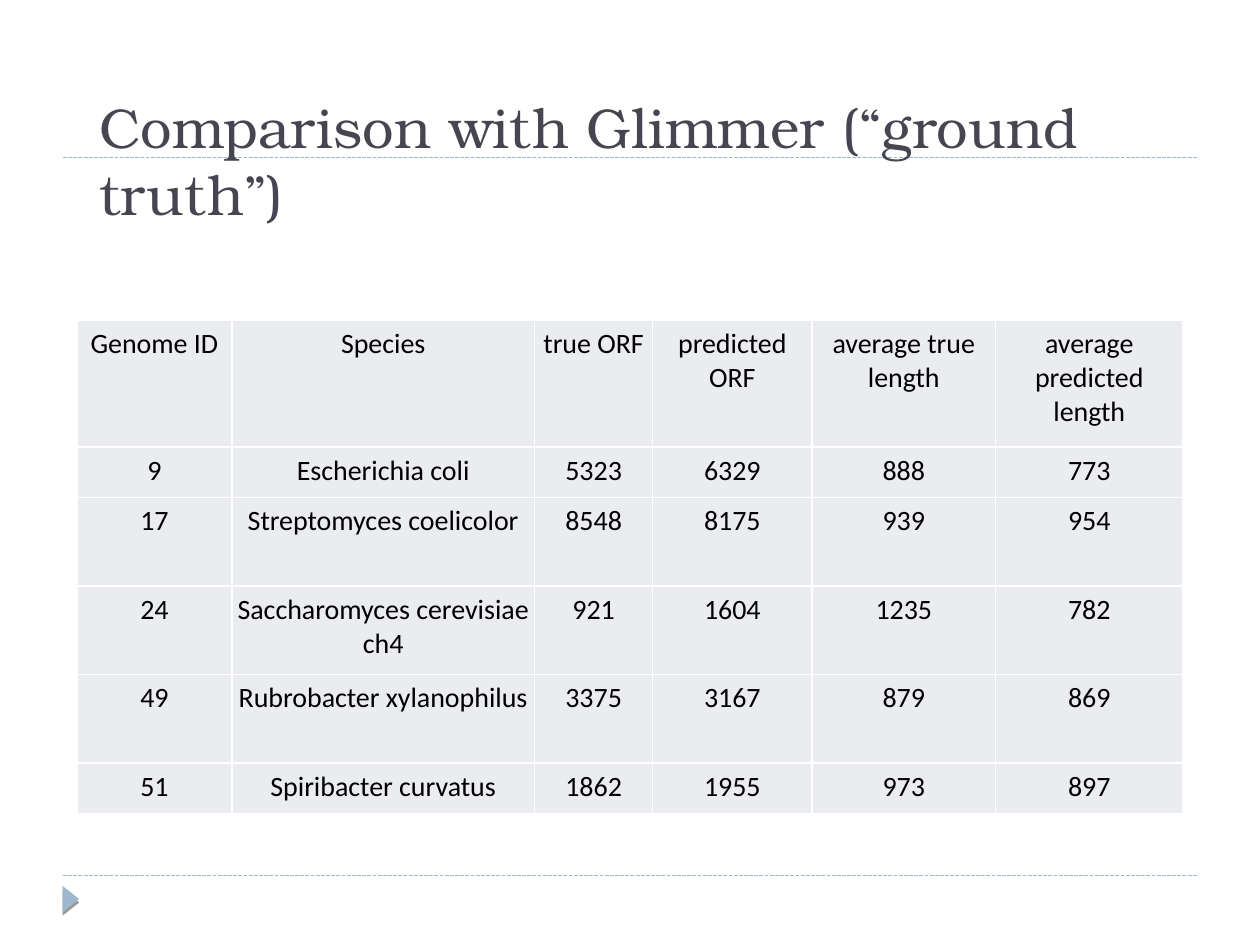
from lxml import etree
from pptx import Presentation
from pptx.dml.color import RGBColor
from pptx.enum import dml, shapes, text
from pptx.oxml import ns
from pptx.util import Pt

TITLE = "Comparison with Glimmer (“ground truth”)"
HEADINGS = ["Genome ID", "Species", "true ORF", "predicted ORF",
            "average true length", "average predicted length"]
GENOMES = [
    (9, "Escherichia coli", 5323, 6329, 888, 773),
    (17, "Streptomyces coelicolor", 8548, 8175, 939, 954),
    (24, "Saccharomyces cerevisiae ch4", 921, 1604, 1235, 782),
    (49, "Rubrobacter xylanophilus", 3375, 3167, 879, 869),
    (51, "Spiribacter curvatus", 1862, 1955, 973, 897),
]
COLUMN_WIDTHS = [88.5, 173, 67.5, 91, 105, 107]
ROW_HEIGHTS = [72.5, 28.8, 50.6, 50.6, 50.6, 28.8]
RULE_HEIGHTS = [500.4, 90]
ACCENT, INK, CELL = "9FB8CD", "464653", "EBECF0"
TITLE_FONT = {"name": "TeX Gyre Bonum", "size": Pt(32)}
CELL_FONT = {"name": "Calibri", "size": Pt(16)}
CELL_FORMAT = {"margin_left": Pt(0.72), "margin_right": Pt(0.72),
               "margin_top": Pt(3.6), "margin_bottom": Pt(3.6)}


def rgb(color):
    return RGBColor.from_string(color)


def set_all(target, values):
    for key, value in values.items():
        setattr(target, key, value)


def add(parent, tag, **attributes):
    return etree.SubElement(parent, ns.qn(tag), attributes)


def add_color(parent, color):
    return add(add(parent, "a:solidFill"), "a:srgbClr", val=color)


def style_cell(cell, content):
    properties = cell._tc.get_or_add_tcPr()
    for side in "LRTB":
        add_color(add(properties, f"a:ln{side}", w=str(Pt(0.96))), "FFFFFF")
    cell.fill.solid()
    cell.fill.fore_color.rgb = rgb(CELL)
    set_all(cell, CELL_FORMAT)
    paragraph = cell.text_frame.paragraphs[0]
    paragraph.alignment = text.PP_ALIGN.CENTER
    run = paragraph.add_run()
    run.text = str(content)
    set_all(run.font, {**CELL_FONT, "bold": False})
    run.font.color.rgb = rgb("000000")


def main():
    deck = Presentation()
    set_all(deck, {"slide_width": Pt(720), "slide_height": Pt(540)})
    slide = deck.slides.add_slide(deck.slide_layouts[6])

    for height in RULE_HEIGHTS:
        rule = slide.shapes.add_connector(
            shapes.MSO_CONNECTOR.STRAIGHT, Pt(36), Pt(height), Pt(684), Pt(height))
        set_all(rule.line, {"width": Pt(0.75), "dash_style": dml.MSO_LINE.SQUARE_DOT})
        rule.line.color.rgb = rgb(ACCENT)
        add(rule._element.spPr, "a:effectLst")

    marker = slide.shapes.add_shape(
        shapes.MSO_SHAPE.ISOSCELES_TRIANGLE, Pt(33), Pt(509), Pt(15), Pt(9.5))
    marker.rotation = 90
    marker.fill.solid()
    marker.fill.fore_color.rgb = rgb(ACCENT)
    marker.line.fill.background()
    shadow = add(add(marker._element.spPr, "a:effectLst"), "a:outerShdw",
                 blurRad="0", dist=str(Pt(2)), dir="5400000", rotWithShape="0")
    add(add(shadow, "a:srgbClr", val="000000"), "a:alpha", val="40000")

    title = slide.shapes.add_textbox(Pt(49.7), Pt(28.8), Pt(620.6), Pt(104.4)).text_frame
    set_all(title, {"word_wrap": True, "vertical_anchor": text.MSO_ANCHOR.BOTTOM})
    title.text = TITLE
    title_font = title.paragraphs[0].runs[0].font
    set_all(title_font, TITLE_FONT)
    title_font.color.rgb = rgb(INK)

    rows = [HEADINGS, *GENOMES]
    table = slide.shapes.add_table(
        len(rows), len(HEADINGS), Pt(44), Pt(183),
        Pt(sum(COLUMN_WIDTHS)), Pt(sum(ROW_HEIGHTS))).table
    set_all(table, {"first_row": False, "horz_banding": False})
    for column, width in zip(table.columns, COLUMN_WIDTHS):
        column.width = Pt(width)
    for row, height, contents in zip(table.rows, ROW_HEIGHTS, rows):
        row.height = Pt(height)
        for cell, content in zip(row.cells, contents):
            style_cell(cell, content)

    deck.save("out.pptx")


if __name__ == "__main__":
    main()
